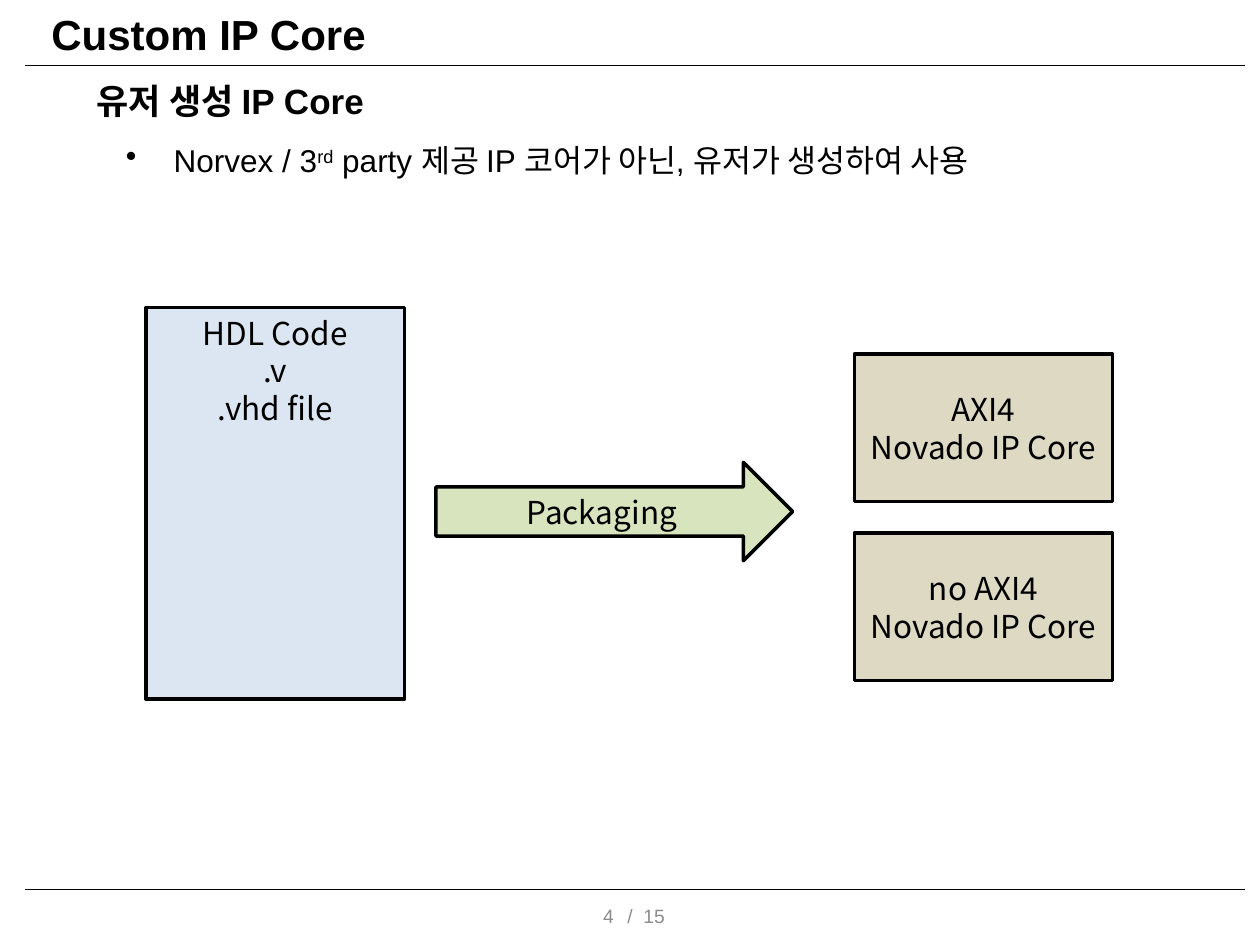
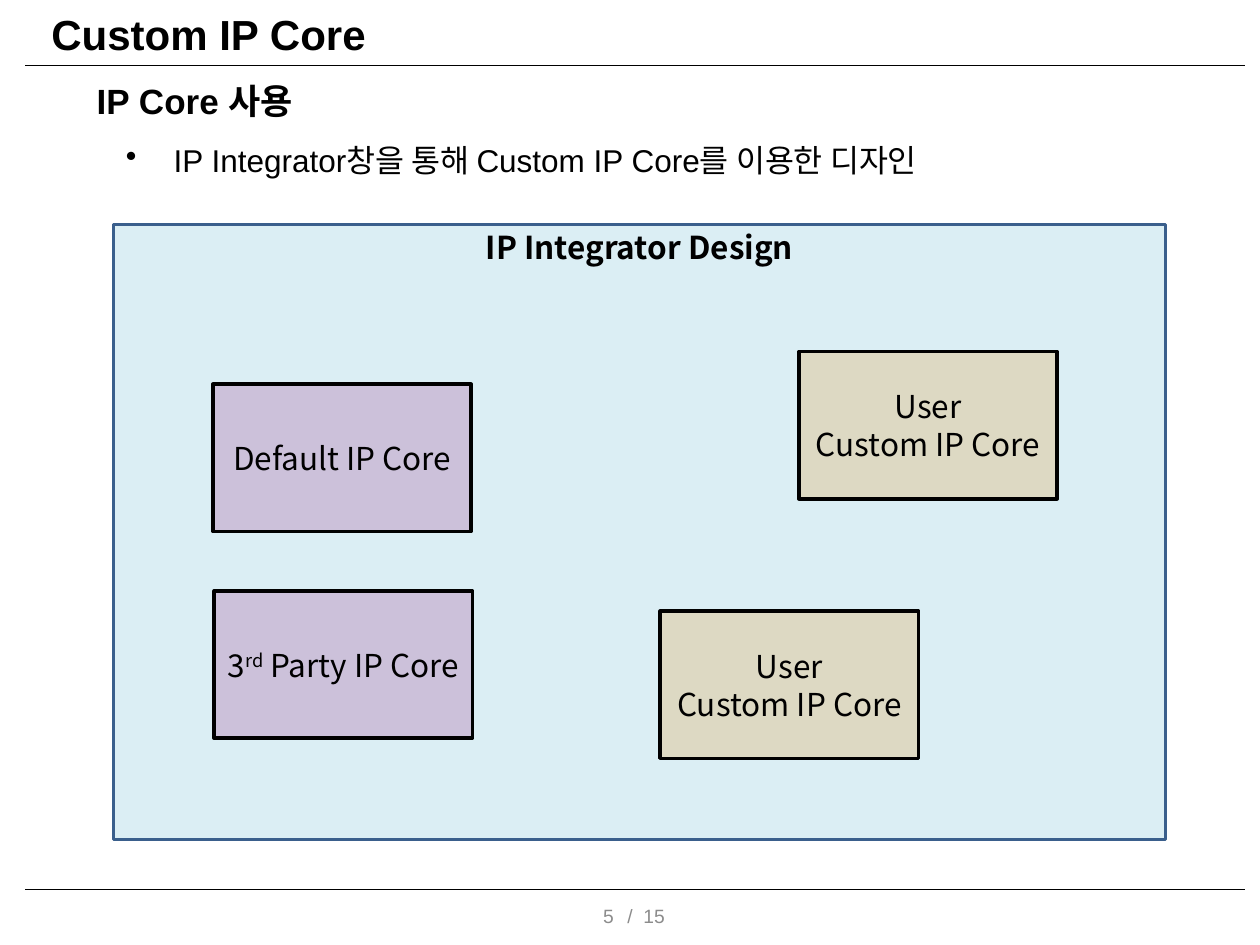
import pptx
import pptx.util
import pptx.dml.color
import pptx.enum.shapes
import pptx.enum.text
import pptx.oxml.ns
from lxml import etree

Pt = pptx.util.Pt
Kind = pptx.enum.shapes.MSO_SHAPE
Align = pptx.enum.text.PP_ALIGN
Anchor = pptx.enum.text.MSO_ANCHOR
qn = pptx.oxml.ns.qn

# Shared look
HEX = {
    "ink": "000000", "gray": "8C8C8C", "edge": "3A5F8C", "code": "DCE6F2",
    "step": "D7E4BD", "user": "DDD9C3", "vendor": "CCC1DA", "design": "DBEEF4",
}
SANS, KOREAN = "Arial", "Noto Sans CJK KR"
CORE = (147.6, 84.2)
TITLE, TOTAL, FIRST = "Custom IP Core", 15, 4
RULES = (37.4, 508.3)

# Content: ^ marks superscript; each block is (lines, fill, left, top, size, options)
USER = ["User", "Custom IP Core"]
CORES = [["AXI4", "Novado IP Core"], ["no AXI4", "Novado IP Core"]]
SLIDES = [
    {
        "head": "유저 생성 IP Core",
        "point": "Norvex / 3^rd^ party 제공 IP 코어가 아닌, 유저가 생성하여 사용",
        "blocks": [
            (["HDL Code", ".v", ".vhd file"], "code", 83.5, 175.7, (147.6, 223.9),
             {"top": 3.6}),
            (["Packaging"], "step", 249.1, 264.2, (203.8, 56.2),
             {"kind": Kind.RIGHT_ARROW}),
        ] + [(core, "user", 488.2, 202.3 + 102.3 * i, CORE, {})
             for i, core in enumerate(CORES)],
    },
    {
        "head": "IP Core 사용",
        "point": "IP Integrator창을 통해 Custom IP Core를 이용한 디자인",
        "blocks": [
            (["IP Integrator Design"], "design", 64.8, 128.2, (601.2, 351.4),
             {"top": 2, "bold": True, "edge": "edge"}),
            (USER, "user", 377.3, 349.2, CORE, {}),
            (["Default IP Core"], "vendor", 121.7, 219.6, CORE, {}),
            (["3^rd^ Party IP Core"], "vendor", 122.4, 337.7, CORE, {}),
            (USER, "user", 456.5, 200.9, CORE, {}),
        ],
    },
]


def tint(name):
    return pptx.dml.color.RGBColor.from_string(HEX[name])


def write(frame, lines, size, face, color="ink", bold=False,
          align=Align.LEFT, anchor=Anchor.MIDDLE, pad=3.6):
    """Fill a text frame and return its first paragraph."""
    frame.word_wrap = True
    frame.vertical_anchor = anchor
    frame.margin_left = frame.margin_right = Pt(7.2)
    frame.margin_top = frame.margin_bottom = Pt(pad)
    for i, line in enumerate(lines):
        para = frame.add_paragraph() if i else frame.paragraphs[0]
        para.alignment = align
        font = para.font
        font.size, font.name, font.bold = Pt(size), face, bold
        font.color.rgb = tint(color)
        east = etree.SubElement(para._p.pPr.find(qn("a:defRPr")), qn("a:ea"))
        east.set("typeface", KOREAN)
        for j, part in enumerate(line.split("^")):
            run = para.add_run()
            run.text = part
            if j % 2:
                run._r.get_or_add_rPr().set("baseline", "30000")
    return frame.paragraphs[0]


def label(slide, text, left, top, width, height, size, **style):
    box = slide.shapes.add_textbox(Pt(left), Pt(top), Pt(width), Pt(height))
    return write(box.text_frame, [text], size, SANS, **style)


def rule(slide, y):
    line = slide.shapes.add_connector(
        pptx.enum.shapes.MSO_CONNECTOR.STRAIGHT, Pt(14.4), Pt(y), Pt(711.4), Pt(y))
    line.line.color.rgb = tint("ink")
    line.line.width = Pt(1)
    etree.SubElement(line._element.spPr, qn("a:effectLst"))


def bullet(para, indent):
    props = para._p.get_or_add_pPr()
    props.set("marL", str(Pt(indent)))
    props.set("indent", str(-Pt(indent)))
    para.space_before = para.space_after = Pt(3)
    mark = etree.Element(qn("a:buChar"), {"char": "•"})
    props.find(qn("a:defRPr")).addprevious(mark)


def block(slide, lines, fill, left, top, size, opts):
    shape = slide.shapes.add_shape(opts.get("kind", Kind.RECTANGLE),
                                   Pt(left), Pt(top), *map(Pt, size))
    shape.shadow.inherit = False
    shape.fill.solid()
    shape.fill.fore_color.rgb = tint(fill)
    shape.line.color.rgb = tint(opts.get("edge", "ink"))
    shape.line.width = Pt(2)
    write(shape.text_frame, lines, 18, KOREAN, bold=opts.get("bold", False),
          align=Align.CENTER, pad=opts.get("top", 3.6),
          anchor=Anchor.TOP if "top" in opts else Anchor.MIDDLE)


def frame(slide, number):
    """Rules, page number and title found on every slide."""
    for y in RULES:
        rule(slide, y)
    label(slide, f"/  {TOTAL}", 351.4, 514.1, 228.2, 18, 11, color="gray")
    label(slide, str(number), 190.1, 514.1, 167.8, 18, 11, color="gray",
          align=Align.RIGHT)
    label(slide, TITLE, 22.3, 3.6, 672.5, 31, 24, bold=True, pad=0)


def main():
    deck = pptx.Presentation()
    deck.slide_width, deck.slide_height = Pt(720), Pt(540)
    for number, page in enumerate(SLIDES, FIRST):
        slide = deck.slides.add_slide(deck.slide_layouts[6])
        frame(slide, number)
        bullet(label(slide, page["point"], 64.8, 77, 623.5, 430.6, 18,
                     anchor=Anchor.TOP), 27.4)
        head = label(slide, page["head"], 48.2, 43.2, 663.1, 28.1, 20,
                     bold=True, pad=0)
        head.space_before = Pt(4)
        for item in page["blocks"]:
            block(slide, *item)
    deck.save("out.pptx")


if __name__ == "__main__":
    main()
